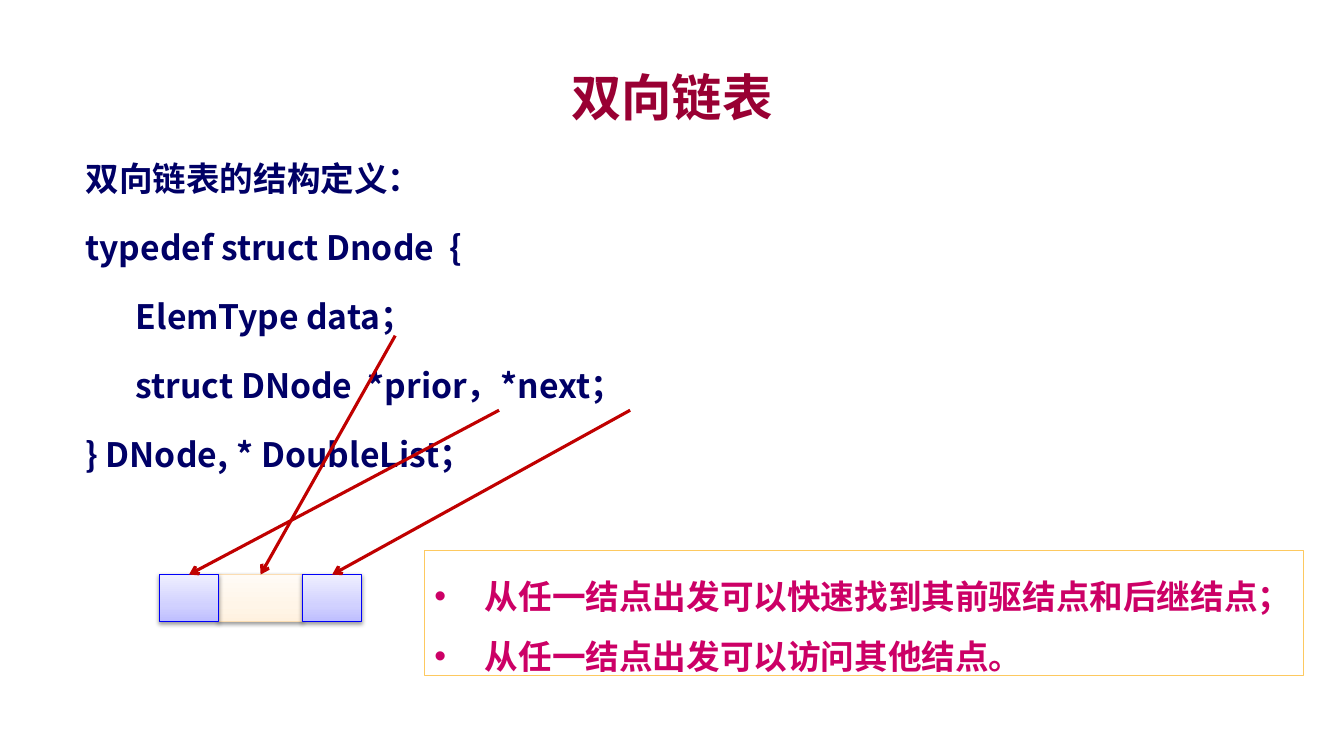
import dataclasses

import pptx
import pptx.dml.color
import pptx.enum.shapes
import pptx.enum.text
import pptx.oxml
import pptx.oxml.ns
import pptx.util
from pptx.util import Inches

ANCHOR = pptx.enum.text.MSO_ANCHOR
ALIGN = pptx.enum.text.PP_ALIGN
RECTANGLE = pptx.enum.shapes.MSO_SHAPE.RECTANGLE
STRAIGHT = pptx.enum.shapes.MSO_CONNECTOR.STRAIGHT
qn = pptx.oxml.ns.qn


@dataclasses.dataclass(frozen=True)
class Theme:
    font: str = "Noto Sans CJK SC"
    title_size: int = 36
    text_size: int = 24
    title: str = "990033"
    code: str = "000066"
    note: str = "CC0066"
    note_line: str = "FDC960"
    arrow: str = "C00000"
    pointer_line: str = "0000F9"
    data_line: str = "FBDDB2"
    pointer_stops: tuple = ((0, "BDBDFF"), (35, "D1D1FF"), (100, "EEEEFF"))
    data_stops: tuple = ((0, "FFF1DF"), (35, "FFF5E8"), (100, "FFFBF6"))


THEME = Theme()

CODE = (
    "双向链表的结构定义：",
    "typedef struct Dnode  {",
    "\tElemType data；",
    "\tstruct DNode  *prior，*next；",
    "} DNode,\t* DoubleList；",
)
NOTES = (
    "从任一结点出发可以快速找到其前驱结点和后继结点；",
    "从任一结点出发可以访问其他结点。",
)


def rgb(value):
    return pptx.dml.color.RGBColor.from_string(value)


def add_element(parent, tag, **attributes):
    child = parent.makeelement(qn(tag), attributes)
    parent.append(child)
    return child


def add_span(para, text, size, color):
    span = para.add_run()
    span.text = text
    span.font.name = THEME.font
    span.font.size = pptx.util.Pt(size)
    span.font.bold = True
    span.font.color.rgb = rgb(color)
    add_element(span._r.get_or_add_rPr(), "a:ea", typeface=THEME.font)


def add_lines(frame, lines, color, space=0, bulleted=False):
    """Fill a frame with left-aligned paragraphs at one and a half spacing."""
    frame.word_wrap = True
    frame.vertical_anchor = ANCHOR.TOP
    for index, text in enumerate(lines):
        para = frame.add_paragraph() if index else frame.paragraphs[0]
        para.alignment = ALIGN.LEFT
        para.line_spacing = 1.5
        para.space_before = pptx.util.Pt(space if index else 0)
        if bulleted:
            properties = para._p.get_or_add_pPr()
            properties.set("marL", str(Inches(0.5)))
            properties.set("indent", str(Inches(-0.5)))
            add_element(properties, "a:buFont", typeface="Arial")
            add_element(properties, "a:buChar", char="•")
        add_span(para, text, THEME.text_size, color)


def add_title(page, box):
    frame = page.shapes.add_textbox(*map(Inches, box)).text_frame
    frame.word_wrap = True
    frame.vertical_anchor = ANCHOR.MIDDLE
    para = frame.paragraphs[0]
    para.alignment = ALIGN.CENTER
    add_span(para, "双向链表", THEME.title_size, THEME.title)


def add_code(page, box):
    frame = page.shapes.add_textbox(*map(Inches, box)).text_frame
    add_lines(frame, CODE, THEME.code, space=6)


def add_notes(page, box):
    panel = page.shapes.add_shape(RECTANGLE, *map(Inches, box))
    panel.shadow.inherit = False
    panel.fill.background()
    panel.line.color.rgb = rgb(THEME.note_line)
    panel.line.width = pptx.util.Pt(0.75)
    add_lines(panel.text_frame, NOTES, THEME.note, bulleted=True)


def add_cell(page, box, stops, line_color):
    cell = page.shapes.add_shape(RECTANGLE, *map(Inches, box))
    cell.line.color.rgb = rgb(line_color)
    cell.line.width = pptx.util.Pt(0.75)

    # Three-stop gradient rising from the bottom edge
    cell.fill.gradient()
    cell.fill.gradient_angle = 90
    stop_list = cell._element.spPr.find(".//" + qn("a:gsLst"))
    for stop in list(stop_list):
        stop_list.remove(stop)
    for position, color in stops:
        stop = add_element(stop_list, "a:gs", pos=str(position * 1000))
        add_element(stop, "a:srgbClr", val=color)

    # Soft shadow straight below
    cell.shadow.inherit = False
    effects = cell._element.spPr.find(qn("a:effectLst"))
    shadow = add_element(
        effects, "a:outerShdw", blurRad=str(pptx.util.Pt(3.1)),
        dist=str(pptx.util.Pt(1.6)), dir="5400000", rotWithShape="0")
    shade = add_element(shadow, "a:srgbClr", val="000000")
    add_element(shade, "a:alpha", val="38000")


def add_arrow(page, start, end):
    arrow = page.shapes.add_connector(STRAIGHT, *map(Inches, start + end))
    arrow.line.color.rgb = rgb(THEME.arrow)
    arrow.line.width = pptx.util.Pt(2.25)
    add_element(arrow.line._get_or_add_ln(), "a:tailEnd", type="arrow")
    add_element(arrow._element.spPr, "a:effectLst")


def add_node(page, box, data_start, prior_start, next_start):
    """Draw prior | data | next and an arrow from each field to its cell."""
    left, top, width, height = box
    pointer_width = 0.59
    data_width = width - 2 * pointer_width
    data_left = left + pointer_width
    next_left = data_left + data_width

    add_cell(page, (data_left, top, data_width, height),
             THEME.data_stops, THEME.data_line)
    for pointer_left in (next_left, left):
        add_cell(page, (pointer_left, top, pointer_width, height),
                 THEME.pointer_stops, THEME.pointer_line)

    targets = (
        (data_start, data_left + data_width / 2),
        (prior_start, left + pointer_width / 2),
        (next_start, next_left + pointer_width / 2),
    )
    for start, target in targets:
        add_arrow(page, start, (target, top))


def main():
    deck = pptx.Presentation()
    deck.slide_width = Inches(13.33)
    deck.slide_height = Inches(7.5)
    page = deck.slides.add_slide(deck.slide_layouts[6])

    add_title(page, (1, 0.58, 11.33, 0.75))
    add_code(page, (0.75, 1.32, 11.97, 3.42))
    add_notes(page, (4.21, 5.46, 8.72, 1.24))
    add_node(page, (1.58, 5.7, 2.01, 0.47), data_start=(3.92, 3.33),
             prior_start=(4.95, 4.07), next_start=(6.25, 4.07))
    deck.save("out.pptx")


if __name__ == "__main__":
    main()
